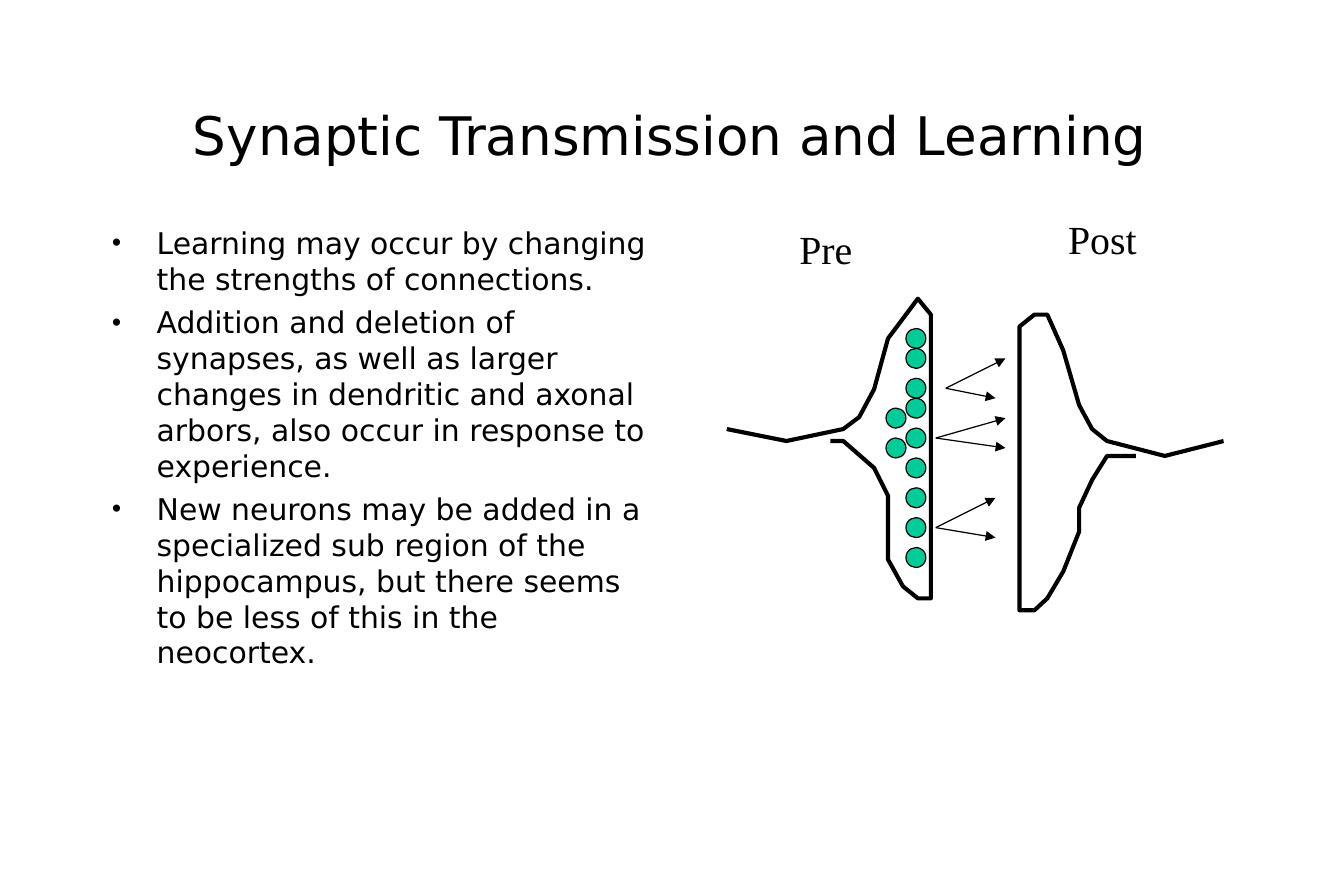
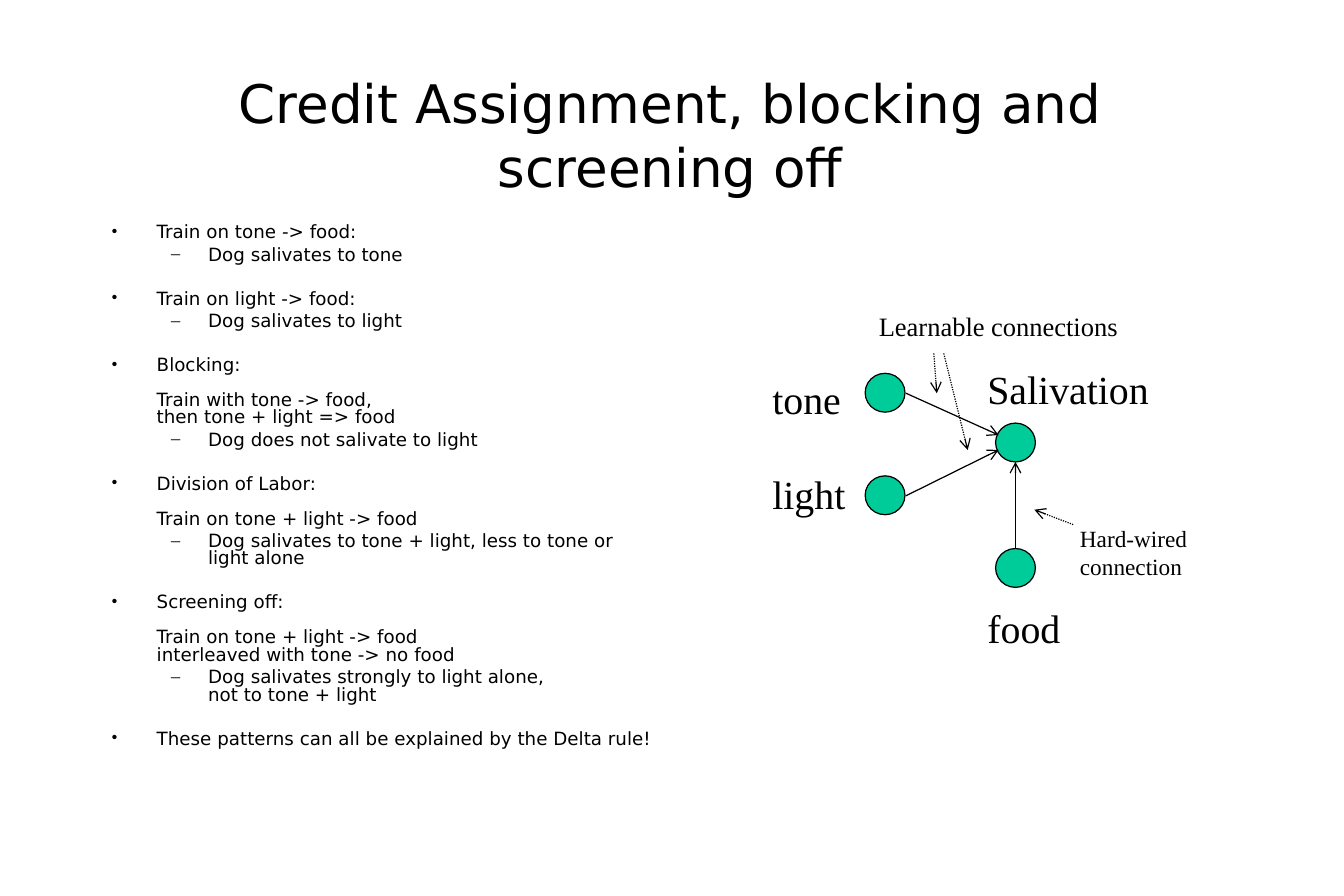
from dataclasses import dataclass
from typing import NamedTuple

from lxml import etree
from pptx import Presentation
from pptx import util as u
from pptx.dml.color import RGBColor
from pptx.enum import dml, shapes, text
from pptx.oxml.ns import qn

# Shared look; the slide is a grid of 135 columns by 90 rows
COLS, ROWS = 135, 90
CELL = u.Inches(11.25) // COLS
BLACK = RGBColor(0x00, 0x00, 0x00)
GREEN = RGBColor(0x00, 0xCC, 0x99)
SANS, SERIF = "DejaVu Sans", "Times New Roman"
TITLE_SIZE = 32
THIN, THICK = 0.75, 2.5
Point = tuple[float, float]


class Level(NamedTuple):
    depth: int
    mark: str
    margin: float
    indent: float


MAIN = Level(0, "•", 0.38, -0.38)
PLAIN = Level(0, "", 0.38, 0)
DASH = Level(1, "–", 0.81, -0.31)


@dataclass
class Item:
    level: Level
    text: str


@dataclass
class Label:
    text: str
    col: float
    row: float
    width: float
    height: float = 6
    size: int = 24


@dataclass
class Arrow:
    start: Point
    end: Point
    head: str = "arrow"
    dotted: bool = False


def cells(*values: float) -> list[u.Emu]:
    return [u.Emu(round(value * CELL)) for value in values]


def style(para, size: float, font: str) -> None:
    for run in para.runs:
        run.font.size = u.Pt(size)
        run.font.name = font
        run.font.color.rgb = BLACK
    for br in para._p.findall(qn("a:br")):
        etree.SubElement(br, qn("a:rPr"), sz=str(size * 100))


def add_slide(deck, title: str):
    slide = deck.slides.add_slide(deck.slide_layouts[5])
    head = slide.shapes.title
    head.left, head.top, head.width, head.height = cells(10, 6, 114.7, 15)
    head.text_frame.text = title
    head.text_frame.vertical_anchor = text.MSO_ANCHOR.MIDDLE
    para = head.text_frame.paragraphs[0]
    para.alignment = text.PP_ALIGN.CENTER
    style(para, TITLE_SIZE, SANS)
    return slide


def add_list(slide, items: list[Item], width: float, size: int,
             gaps: dict[Level, float], spacing: float) -> None:
    frame = slide.shapes.add_textbox(*cells(10, 22, width, 59)).text_frame
    frame.word_wrap = True
    for index, item in enumerate(items):
        para = frame.add_paragraph() if index else frame.paragraphs[0]
        para.text = item.text
        para.level = item.level.depth
        para.line_spacing = spacing
        if index:
            para.space_before = u.Pt(gaps[item.level])
        props = para._p.get_or_add_pPr()
        props.set("marL", str(u.Inches(item.level.margin)))
        props.set("indent", str(u.Inches(item.level.indent)))
        if item.level.mark:
            color = etree.SubElement(props, qn("a:buClr"))
            etree.SubElement(color, qn("a:srgbClr"), val=str(BLACK))
            etree.SubElement(props, qn("a:buFont"), typeface=SERIF)
            etree.SubElement(props, qn("a:buChar"), char=item.level.mark)
        style(para, size, SANS)


def add_label(slide, label: Label) -> None:
    box = slide.shapes.add_textbox(
        *cells(label.col, label.row, label.width, label.height))
    box.text_frame.word_wrap = True
    para = box.text_frame.paragraphs[0]
    para.text = label.text
    style(para, label.size, SERIF)


def add_dot(slide, col: float, row: float, width: float, height: float) -> None:
    dot = slide.shapes.add_shape(
        shapes.MSO_SHAPE.OVAL, *cells(col, row, width, height))
    dot.shadow.inherit = False
    dot.fill.solid()
    dot.fill.fore_color.rgb = GREEN
    dot.line.color.rgb = BLACK
    dot.line.width = u.Pt(THIN)


def add_arrow(slide, arrow: Arrow) -> None:
    link = slide.shapes.add_connector(
        shapes.MSO_CONNECTOR.STRAIGHT, *cells(*arrow.start, *arrow.end))
    link.line.color.rgb = BLACK
    link.line.width = u.Pt(THIN)
    if arrow.dotted:
        link.line.dash_style = dml.MSO_LINE.ROUND_DOT
    etree.SubElement(link.line._get_or_add_ln(), qn("a:tailEnd"), type=arrow.head)
    etree.SubElement(link._element.spPr, qn("a:effectLst"))


def add_outline(slide, points: list[Point]) -> None:
    first, *rest = points
    pen = slide.shapes.build_freeform(*cells(*first))
    pen.add_line_segments([cells(*point) for point in rest], close=False)
    curve = pen.convert_to_shape()
    curve.shadow.inherit = False
    curve.fill.background()
    curve.line.color.rgb = BLACK
    curve.line.width = u.Pt(THICK)


# Slide 1: the synapse
LESSONS = [
    Item(MAIN, "Learning may occur by changing the strengths of connections."),
    Item(MAIN, "Addition and deletion of synapses, as well as larger changes in "
               "dendritic and axonal arbors, also occur in response to experience."),
    Item(MAIN, "New neurons may be added in a specialized sub region of the "
               "hippocampus, but there seems to be less of this in the neocortex."),
]
PRE = [(73, 43.1), (79, 44.3), (84.7, 43.1), (86.3, 41.9), (87.8, 39.1),
       (89.2, 34), (92.2, 30), (93.5, 31.6), (93.5, 60.1), (92.2, 60.1),
       (90.7, 58.9), (89.2, 56.2), (89.2, 49.8), (87.8, 47), (84.7, 44.3),
       (83.4, 44.3)]
POST = [(122.9, 44.3), (117, 45.8), (111.2, 44.3), (109.7, 43.1), (108.4, 40.7),
        (106.8, 35.2), (105.2, 31.6), (103.9, 31.6), (102.4, 32.8), (102.4, 61.3),
        (103.9, 61.3), (105.2, 60.1), (106.8, 57.4), (108.4, 53.4), (108.4, 51),
        (109.7, 48.2), (111.2, 45.8), (114.1, 45.8)]
DROPS = {91: (33, 35, 38, 40, 43, 46, 49, 52, 55), 89: (41, 44)}
SPRAYS = {(95, 39): ((101, 36), (100, 40)),
          (94, 44): ((101, 42), (101, 45)),
          (94, 53): ((100, 50), (100, 54))}
SIDES = [Label("Pre", 79.1, 22, 8.5), Label("Post", 106.1, 21, 10.2)]


def draw_synapse(deck) -> None:
    slide = add_slide(deck, "Synaptic Transmission and Learning")
    add_list(slide, LESSONS, 56.4, 18, {MAIN: 4.5}, 1.0)
    for points in (PRE, POST):
        add_outline(slide, points)
    # Drops stand at the column and rows given, two cells wide
    for col, rows in DROPS.items():
        for row in rows:
            add_dot(slide, col, row, 2, 2)
    for start, ends in SPRAYS.items():
        for end in ends:
            add_arrow(slide, Arrow(start, end, "triangle"))
    for label in SIDES:
        add_label(slide, label)


# Slide 2: the conditioning network
TRIALS = [
    Item(MAIN, "Train on tone -> food:"),
    Item(DASH, "Dog salivates to tone"),
    Item(MAIN, "Train on light -> food:"),
    Item(DASH, "Dog salivates to light"),
    Item(MAIN, "Blocking:"),
    Item(PLAIN, "Train with tone -> food,\nthen tone + light => food"),
    Item(DASH, "Dog does not salivate to light"),
    Item(MAIN, "Division of Labor:"),
    Item(PLAIN, "Train on tone + light -> food"),
    Item(DASH, "Dog salivates to tone + light, less to tone or light alone"),
    Item(MAIN, "Screening off:"),
    Item(PLAIN, "Train on tone + light -> food\ninterleaved with tone -> no food"),
    Item(DASH, "Dog salivates strongly to light alone,\nnot to tone + light"),
    Item(MAIN, "These patterns can all be explained by the Delta rule!"),
]
TRIAL_GAPS = {MAIN: 16, PLAIN: 10.5, DASH: 2.8}
NODES = [(86.9, 37.5), (86.9, 47.8), (100, 42.5), (100, 55.1)]
NAMES = [
    Label("tone", 76.4, 37, 10.2),
    Label("light", 76.4, 46.6, 10.2),
    Label("Salivation", 98, 36, 19.6),
    Label("food", 98, 60, 10.2),
    Label("Hard-wired\nconnection", 107.3, 52.1, 14.2, 6.8, 14),
    Label("Learnable connections", 87.1, 30.5, 27.4, 4.4, 16),
]
LINKS = [
    Arrow((102, 55.1), (102, 46.4)),
    Arrow((91, 39.5), (100.3, 43.7)),
    Arrow((91, 49.8), (100.3, 45.2)),
    Arrow((107.8, 52.7), (103.9, 51.2), dotted=True),
    Arrow((93.8, 35.5), (94.1, 39.5), dotted=True),
    Arrow((94.8, 35.5), (97.2, 45.2), dotted=True),
]


def draw_credit(deck) -> None:
    slide = add_slide(deck, "Credit Assignment, blocking and screening off")
    add_list(slide, TRIALS, 57.2, 11, TRIAL_GAPS, 0.8)
    for col, row in NODES:
        add_dot(slide, col, row, 4, 3.9)
    for label in NAMES:
        add_label(slide, label)
    for arrow in LINKS:
        add_arrow(slide, arrow)


def main() -> None:
    deck = Presentation()
    deck.slide_width, deck.slide_height = cells(COLS, ROWS)
    draw_synapse(deck)
    draw_credit(deck)
    deck.save("out.pptx")


if __name__ == "__main__":
    main()
